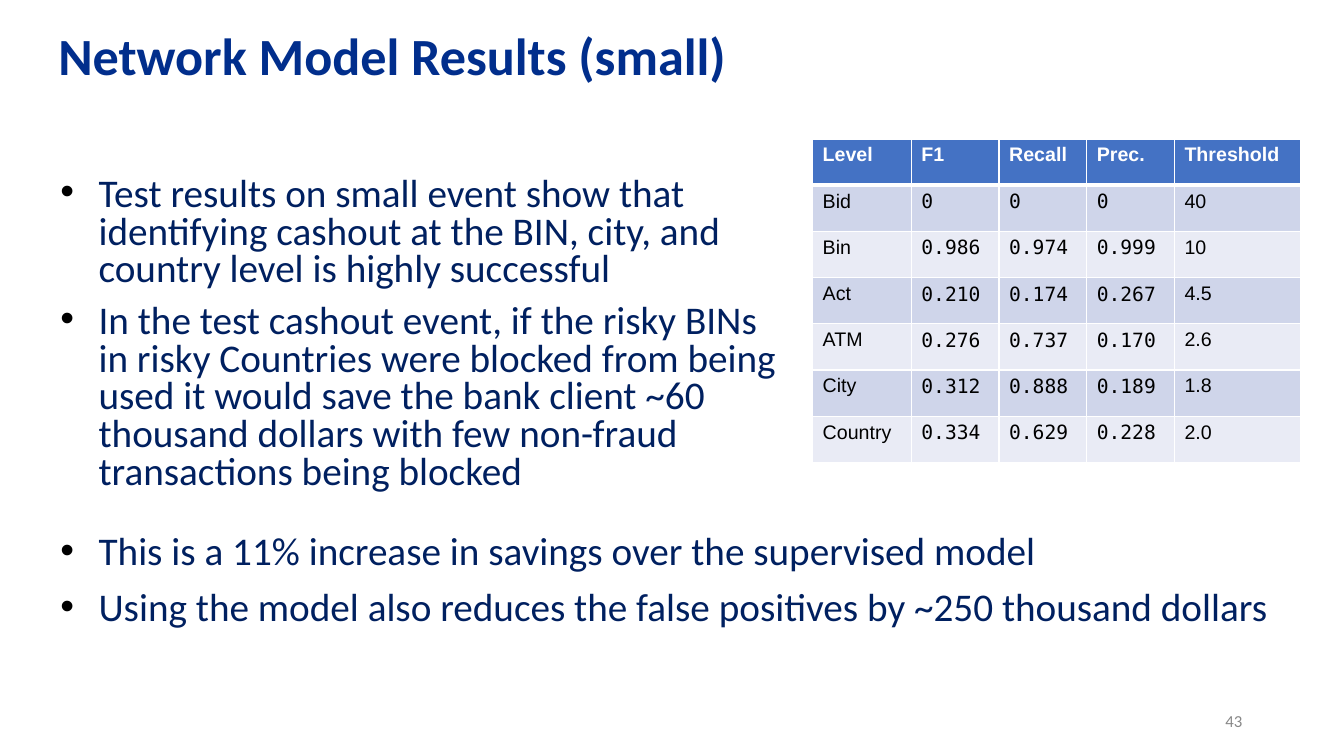
from dataclasses import dataclass

from lxml.etree import SubElement
from pptx import Presentation
from pptx.dml.color import RGBColor
from pptx.enum.text import MSO_ANCHOR, PP_ALIGN
from pptx.oxml.ns import qn
from pptx.util import Emu, Inches, Pt


@dataclass(frozen=True)
class Theme:
    title_color: str = "012E8C"
    body_color: str = "002060"
    number_color: str = "888888"
    black: str = "000000"
    white: str = "FFFFFF"
    header_fill: str = "4472C4"
    band_fills: tuple = ("CFD5EA", "E9EBF5")
    text_font: str = "Calibri"
    table_font: str = "Arial"
    figure_font: str = "DejaVu Sans Mono"
    title_size: float = 37.3
    body_size: float = 28
    table_size: float = 14
    number_size: float = 12


class SlideBuilder:
    """Places elements by percentages of the slide's width and height."""

    def __init__(self, presentation, theme):
        self.theme = theme
        self.width = presentation.slide_width
        self.height = presentation.slide_height
        self.slide = presentation.slides.add_slide(presentation.slide_layouts[6])

    def frame(self, left, top, width, height):
        """Turn percentages into slide lengths."""
        return (Emu(int(self.width * left / 100)), Emu(int(self.height * top / 100)),
                Emu(int(self.width * width / 100)), Emu(int(self.height * height / 100)))

    def add_run(self, paragraph, text, font, size, color, bold=False):
        run = paragraph.add_run()
        run.text = text
        run.font.name = font
        run.font.size = Pt(size)
        run.font.bold = bold
        run.font.color.rgb = RGBColor.from_string(color)

    def add_text_frame(self, area, anchor=MSO_ANCHOR.TOP):
        text_frame = self.slide.shapes.add_textbox(*self.frame(*area)).text_frame
        text_frame.word_wrap = True
        text_frame.vertical_anchor = anchor
        return text_frame

    def add_title(self, text, area):
        paragraph = self.add_text_frame(area, MSO_ANCHOR.MIDDLE).paragraphs[0]
        paragraph.line_spacing = 0.9
        self.add_run(paragraph, text, self.theme.text_font, self.theme.title_size,
                     self.theme.title_color, bold=True)

    def add_slide_number(self, text, area):
        paragraph = self.add_text_frame(area, MSO_ANCHOR.MIDDLE).paragraphs[0]
        paragraph.alignment = PP_ALIGN.RIGHT
        self.add_run(paragraph, text, self.theme.text_font, self.theme.number_size,
                     self.theme.number_color)

    def add_bullets(self, texts, area, line_spacing):
        text_frame = self.add_text_frame(area)
        for index, text in enumerate(texts):
            paragraph = text_frame.add_paragraph() if index else text_frame.paragraphs[0]
            self.set_bullet(paragraph)
            paragraph.line_spacing = line_spacing
            paragraph.space_before = Pt(10 if index else 0)
            self.add_run(paragraph, text, self.theme.text_font, self.theme.body_size,
                         self.theme.body_color)

    def set_bullet(self, paragraph):
        properties = paragraph._p.get_or_add_pPr()
        properties.set("marL", str(Inches(0.5)))
        properties.set("indent", str(Inches(-0.38)))
        color = SubElement(properties, qn("a:buClr"))
        SubElement(color, qn("a:srgbClr"), val=self.theme.black)
        SubElement(properties, qn("a:buFont"), typeface=self.theme.table_font)
        SubElement(properties, qn("a:buChar"), char="•")

    def add_results_table(self, rows, area, column_weights):
        left, top, width, height = self.frame(*area)
        table = self.slide.shapes.add_table(
            len(rows), len(column_weights), left, top, width, height).table
        table.horz_banding = False
        for column, weight in zip(table.columns, column_weights):
            column.width = int(width * weight / sum(column_weights))
        for row_index, row in enumerate(rows):
            table.rows[row_index].height = height // len(rows)
            for column_index, text in enumerate(row):
                self.fill_cell(table.cell(row_index, column_index), text,
                               row_index, column_index)

    def fill_cell(self, cell, text, row_index, column_index):
        theme = self.theme
        is_header = row_index == 0
        is_figure = not is_header and 1 <= column_index <= 3
        self.set_borders(cell, top=3 if row_index == 1 else 1, bottom=3 if is_header else 1)
        cell.fill.solid()
        fill = theme.header_fill if is_header else theme.band_fills[(row_index - 1) % 2]
        cell.fill.fore_color.rgb = RGBColor.from_string(fill)
        self.add_run(cell.text_frame.paragraphs[0], text,
                     theme.figure_font if is_figure else theme.table_font,
                     theme.table_size, theme.white if is_header else theme.black, is_header)

    def set_borders(self, cell, top, bottom):
        properties = cell._tc.get_or_add_tcPr()
        for side, points in (("L", 1), ("R", 1), ("T", top), ("B", bottom)):
            line = SubElement(properties, qn(f"a:ln{side}"), w=str(Pt(points)))
            fill = SubElement(line, qn("a:solidFill"))
            SubElement(fill, qn("a:srgbClr"), val=self.theme.white)


FINDINGS = (
    "Test results on small event show that identifying cashout at the BIN, city, "
    "and country level is highly successful",
    "In the test cashout event, if the risky BINs in risky Countries were blocked "
    "from being used it would save the bank client ~60 thousand dollars with few "
    "non-fraud transactions being blocked",
)
CONCLUSIONS = (
    "This is a 11% increase in savings over the supervised model",
    "Using the model also reduces the false positives by ~250 thousand dollars",
)
RESULTS = (
    ("Level", "F1", "Recall", "Prec.", "Threshold"),
    ("Bid", "0", "0", "0", "40"),
    ("Bin", "0.986", "0.974", "0.999", "10"),
    ("Act", "0.210", "0.174", "0.267", "4.5"),
    ("ATM", "0.276", "0.737", "0.170", "2.6"),
    ("City", "0.312", "0.888", "0.189", "1.8"),
    ("Country", "0.334", "0.629", "0.228", "2.0"),
)


def main():
    presentation = Presentation()
    presentation.slide_width = Inches(13.33)
    presentation.slide_height = Inches(7.5)
    builder = SlideBuilder(presentation, Theme())
    builder.add_slide_number("43", (70.67, 92.67, 22.5, 5.33))
    builder.add_bullets(FINDINGS, (2.85, 22.8, 56.79, 49.33), line_spacing=0.8)
    builder.add_results_table(RESULTS, (60.46, 18.4, 36.3, 42.8),
                              column_weights=(0.98, 0.87, 0.87, 0.87, 1.25))
    builder.add_bullets(CONCLUSIONS, (2.85, 69.6, 93.7, 26.8), line_spacing=0.9)
    builder.add_title("Network Model Results (small)", (3.6, 2.27, 87.55, 11.07))
    presentation.save("out.pptx")


if __name__ == "__main__":
    main()
